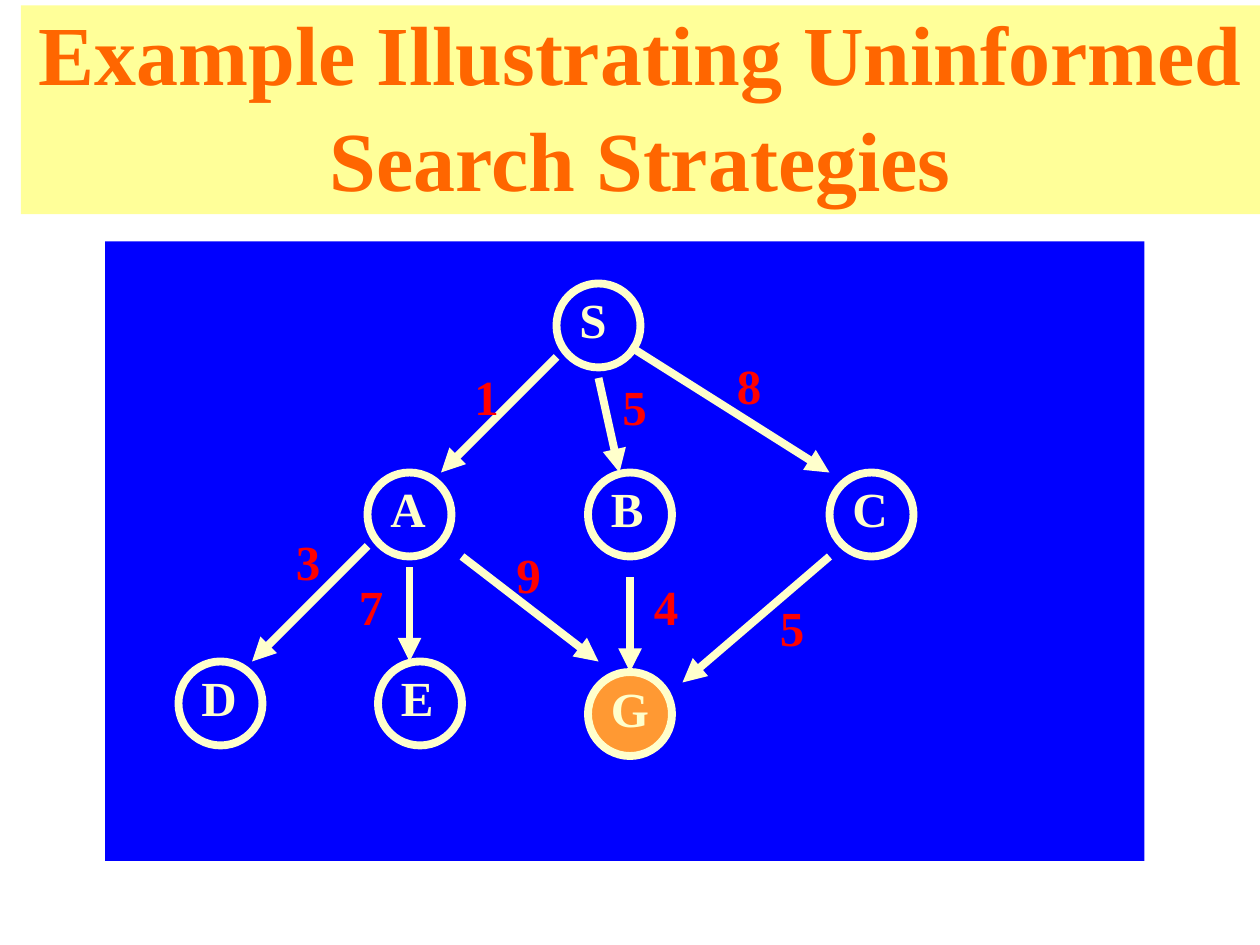
from lxml import etree
from pptx import Presentation
from pptx.dml.color import RGBColor
from pptx.enum.shapes import MSO_CONNECTOR, MSO_SHAPE
from pptx.enum.text import MSO_ANCHOR, MSO_AUTO_SIZE, PP_ALIGN
from pptx.oxml.ns import qn
from pptx.util import Pt

PX = 7620  # 120 px to the inch
BLUE = RGBColor(0x00, 0x00, 0xFF)
YELLOW = RGBColor(0xFF, 0xFF, 0x99)
CREAM = RGBColor(0xFF, 0xFF, 0xCC)
ORANGE = RGBColor(0xFF, 0x66, 0x00)
GOAL_ORANGE = RGBColor(0xFF, 0x99, 0x33)
RED = RGBColor(0xFF, 0x00, 0x00)
NODE_SIZE, LABEL_HEIGHT, COST_WIDTH = 80, 68, 47
STROKE = Pt(4.5)


def px(*lengths):
    return [length * PX for length in lengths]


def write(frame, text, size=28, color=CREAM, align=PP_ALIGN.LEFT, wrap=False,
          anchor=MSO_ANCHOR.TOP, spacing=None):
    frame.word_wrap = wrap
    frame.auto_size = MSO_AUTO_SIZE.NONE
    frame.vertical_anchor = anchor
    paragraph = frame.paragraphs[0]
    paragraph.alignment = align
    paragraph.line_spacing = spacing
    run = paragraph.add_run()
    run.text = text
    run.font.name = "Times New Roman"
    run.font.size = Pt(size)
    run.font.bold = True
    run.font.color.rgb = color


prs = Presentation()
prs.slide_width, prs.slide_height = px(1200, 900)
slide = prs.slides.add_slide(prs.slide_layouts[5])
shapes = slide.shapes

# Title band
title = shapes.title
title.left, title.top, title.width, title.height = px(20, 5, 1180, 199)
title.fill.solid()
title.fill.fore_color.rgb = YELLOW
write(title.text_frame, "Example Illustrating Uninformed Search Strategies",
      size=48, color=ORANGE, align=PP_ALIGN.CENTER, wrap=True,
      anchor=MSO_ANCHOR.BOTTOM, spacing=1.05)

# Blue board behind the graph
board = shapes.add_shape(MSO_SHAPE.RECTANGLE, *px(100, 230, 990, 590))
board.shadow.inherit = False
board.fill.solid()
board.fill.fore_color.rgb = BLUE
board.line.fill.background()

# Nodes: name, left, top, label width
nodes = [
    ("S", 530, 270, 49),
    ("C", 790, 450, 58),
    ("B", 560, 450, 55),
    ("A", 350, 450, 58),
    ("D", 170, 630, 58),
    ("G", 560, 640, 60),
    ("E", 360, 630, 55),
]
for name, left, top, label_width in nodes:
    node = shapes.add_shape(MSO_SHAPE.OVAL, *px(left, top, NODE_SIZE, NODE_SIZE))
    node.shadow.inherit = False
    node.line.color.rgb = CREAM
    node.line.width = STROKE
    if name == "G":
        node.fill.solid()
        node.fill.fore_color.rgb = GOAL_ORANGE
    else:
        node.fill.background()
    label = shapes.add_textbox(*px(left + 10, top, label_width, LABEL_HEIGHT))
    write(label.text_frame, name)

# Edges: start, end, cost, left and top of the cost
edges = [
    ((530, 340), (420, 450), "1", (440, 343)),
    ((390, 540), (390, 630), "7", (330, 543)),
    ((440, 530), (570, 630), "9", (480, 513)),
    ((570, 360), (590, 450), "5", (581, 353)),
    ((600, 330), (790, 450), "8", (690, 333)),
    ((600, 550), (600, 640), "4", (611, 543)),
    ((790, 530), (650, 650), "5", (731, 563)),
    ((350, 520), (240, 630), "3", (270, 500)),
]
for start, end, cost, cost_at in edges:
    edge = shapes.add_connector(MSO_CONNECTOR.STRAIGHT, *px(*start, *end))
    edge.line.color.rgb = CREAM
    edge.line.width = STROKE
    etree.SubElement(edge.line._get_or_add_ln(), qn("a:tailEnd"), type="triangle")
    etree.SubElement(edge._element.spPr, qn("a:effectLst"))
    cost_label = shapes.add_textbox(*px(*cost_at, COST_WIDTH, LABEL_HEIGHT))
    write(cost_label.text_frame, cost, color=RED)

prs.save("out.pptx")
